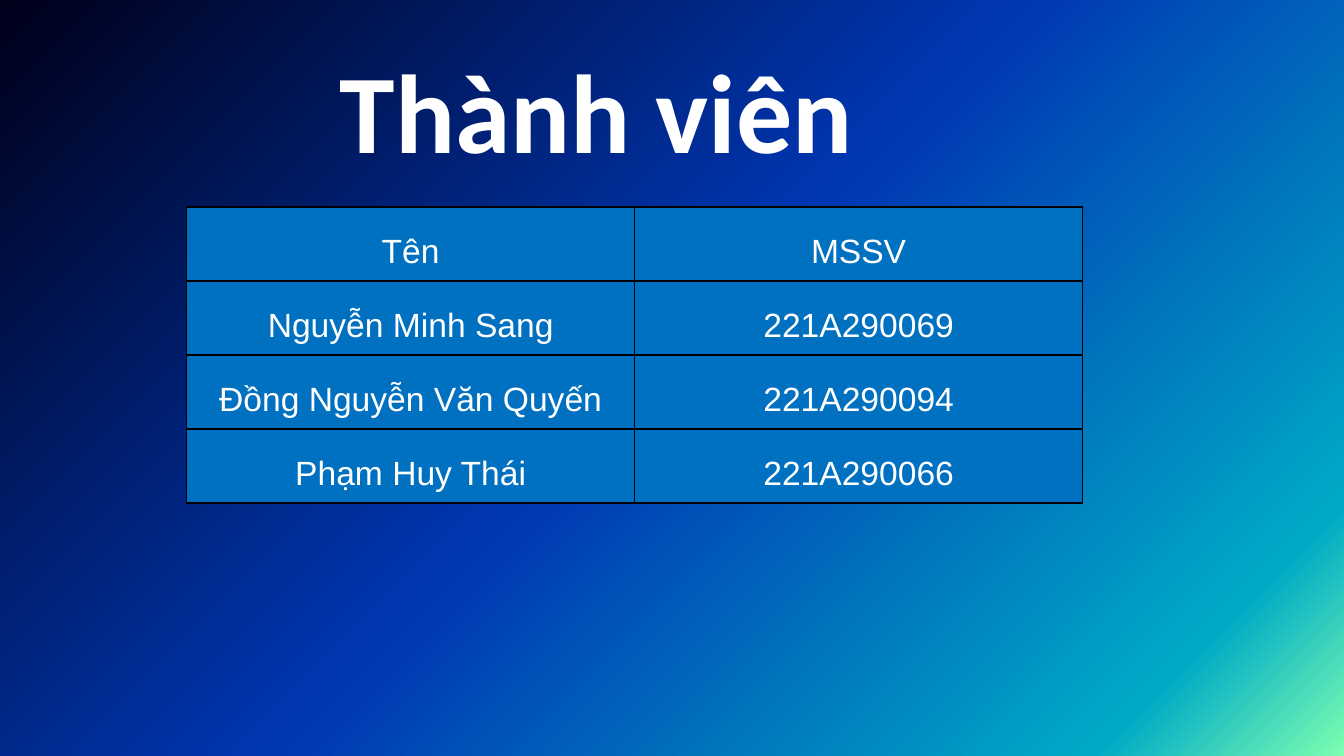
from pptx import Presentation
from pptx.dml.color import RGBColor
from pptx.enum.text import MSO_ANCHOR, PP_ALIGN
from pptx.oxml import parse_xml
from pptx.oxml.ns import nsdecls
from pptx.util import Pt


def paint(fill, color):
    fill.solid()
    fill.fore_color.rgb = RGBColor.from_string(color)


def write(para, text, face, size, bold=False):
    run = para.add_run()
    run.text = text
    run.font.name = face
    run.font.size = Pt(size)
    run.font.bold = bold
    paint(run.font.fill, "FFFFFF")


deck = Presentation()
deck.slide_width, deck.slide_height = Pt(720), Pt(405)
slide = deck.slides.add_slide(deck.slide_layouts[6])

# Background gradient, from green at bottom right to near black at top left
stops = [(0, "7DFFB1"), (12, "00AAC6"), (51, "0037B3"), (100, "00001A")]
marks = "".join(
    f'<a:gs pos="{pos * 1000}"><a:srgbClr val="{color}"/></a:gs>'
    for pos, color in stops
)
back = parse_xml(
    f'<p:bg {nsdecls("p", "a")}><p:bgPr><a:gradFill rotWithShape="1">'
    f'<a:gsLst>{marks}</a:gsLst><a:lin ang="{225 * 60000}" scaled="0"/>'
    "</a:gradFill><a:effectLst/></p:bgPr></p:bg>"
)
slide.element.cSld.insert(0, back)

# Title
title = slide.shapes.add_textbox(Pt(182), Pt(19.5), Pt(456.5), Pt(91.5))
frame = title.text_frame
frame.word_wrap = True
frame.vertical_anchor = MSO_ANCHOR.TOP
frame.margin_left = frame.margin_right = frame.margin_bottom = 0
frame.margin_top = Pt(3)
write(frame.paragraphs[0], "Thành viên", "Calibri", 60, True)

# Member table
members = [
    ("Tên", "MSSV"),
    ("Nguyễn Minh Sang", "221A290069"),
    ("Đồng Nguyễn Văn Quyến", "221A290094"),
    ("Phạm Huy Thái", "221A290066"),
]
high = 39.45
table = slide.shapes.add_table(
    len(members), 2, Pt(100), Pt(111), Pt(480), Pt(high * len(members))
).table
for row, texts in zip(table.rows, members):
    row.height = Pt(high)
    for cell, text in zip(row.cells, texts):
        para = cell.text_frame.paragraphs[0]
        para.alignment = PP_ALIGN.CENTER
        para.line_spacing = 1.5
        write(para, text, "Arial", 18)
        paint(cell.fill, "0070C0")
        props = cell._tc.get_or_add_tcPr()
        for spot, side in enumerate(("lnL", "lnR", "lnT", "lnB")):
            props.insert(spot, parse_xml(
                f'<a:{side} {nsdecls("a")} w="{Pt(1)}"><a:solidFill>'
                f'<a:srgbClr val="000000"/></a:solidFill></a:{side}>'
            ))

deck.save("out.pptx")
